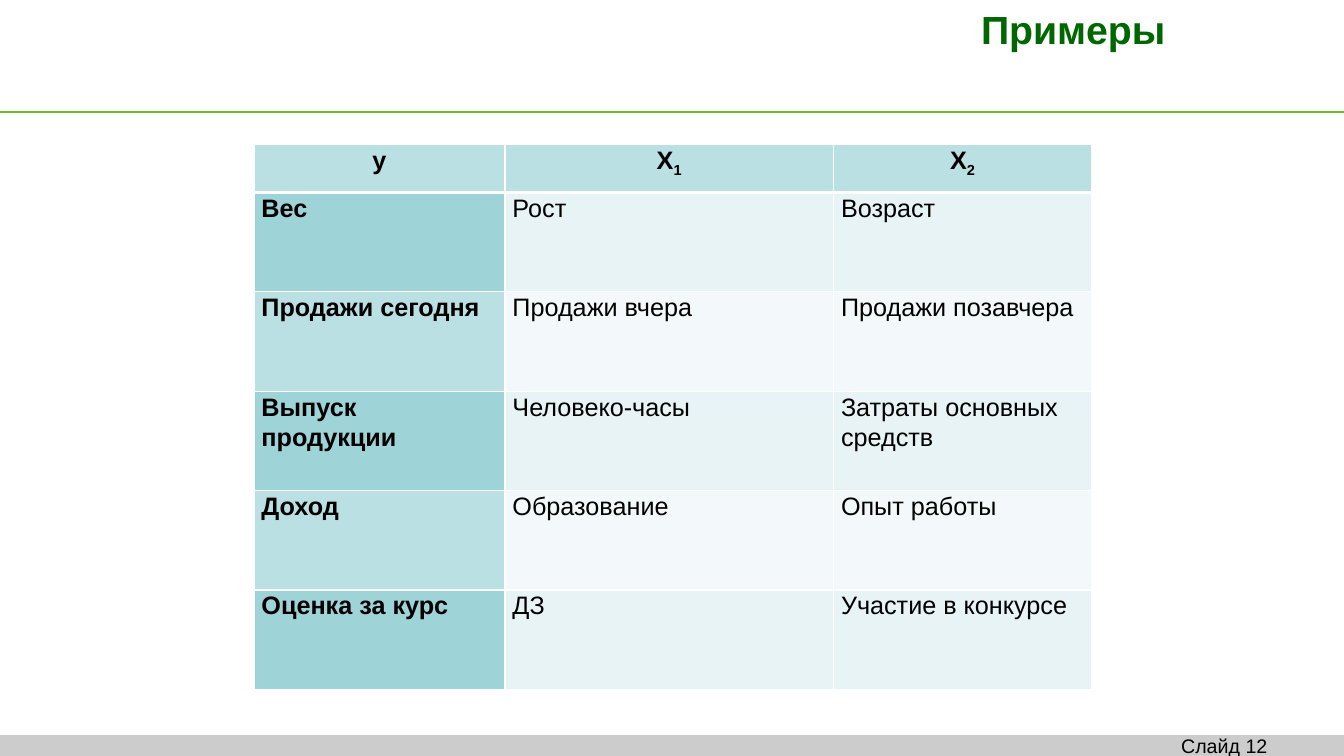
"""Build the slide with a table of example regression variables."""
from typing import NamedTuple

import pptx
import pptx.dml.color
import pptx.enum.shapes
import pptx.enum.text
import pptx.oxml
import pptx.oxml.ns
import pptx.util

Pt = pptx.util.Pt
Align = pptx.enum.text.PP_ALIGN
WIDTH, HEIGHT = 960, 540
WHITE, BLACK = "FFFFFF", "000000"
HEADER_FILL = "BBE0E3"
LABEL_FILLS = ("9ED3D7", "BBE0E3")
VALUE_FILLS = ("E7F3F4", "F3F9FA")
COLUMN_WIDTHS = (179.3, 234.7, 184.3)
HEADER_HEIGHT, ROW_HEIGHT = 34.5, 71


class Heading(NamedTuple):
    symbol: str
    index: str = ""


class Example(NamedTuple):
    y: str
    x1: str
    x2: str


HEADINGS = (Heading("y"), Heading("X", "1"), Heading("X", "2"))
EXAMPLES = (
    Example("Вес", "Рост", "Возраст"),
    Example("Продажи сегодня", "Продажи вчера", "Продажи позавчера"),
    Example("Выпуск продукции", "Человеко-часы", "Затраты основных средств"),
    Example("Доход", "Образование", "Опыт работы"),
    Example("Оценка за курс", "ДЗ", "Участие в конкурсе"),
)


def rgb(value: str) -> pptx.dml.color.RGBColor:
    return pptx.dml.color.RGBColor.from_string(value)


def format_paragraph(p, size: float, color: str, bold: bool, align=Align.LEFT) -> None:
    p.alignment = align
    p.font.name = "Arial"
    p.font.size = Pt(size)
    p.font.bold = bold
    p.font.color.rgb = rgb(color)


def set_borders(cell, top: float = 1, bottom: float = 1) -> None:
    tc_pr = cell._tc.get_or_add_tcPr()
    for side, width in (("L", 1), ("R", 1), ("T", top), ("B", bottom)):
        tc_pr.append(pptx.oxml.parse_xml(
            f'<a:ln{side} {pptx.oxml.ns.nsdecls("a")} w="{Pt(width)}"><a:solidFill>'
            f'<a:srgbClr val="{WHITE}"/></a:solidFill></a:ln{side}>'))


def format_cell(cell, fill: str, bold: bool, align=Align.LEFT) -> None:
    cell.margin_left = cell.margin_right = Pt(5.4)
    cell.margin_top = cell.margin_bottom = 0
    cell.fill.solid()
    cell.fill.fore_color.rgb = rgb(fill)
    p = cell.text_frame.paragraphs[0]
    p.line_spacing = 1.07
    format_paragraph(p, 18, BLACK, bold, align)


def add_footer(s) -> None:
    line = s.shapes.add_connector(
        pptx.enum.shapes.MSO_CONNECTOR.STRAIGHT, 0, Pt(80), Pt(WIDTH), Pt(80))
    line.line.color.rgb = rgb("69BE28")
    line.line.width = Pt(2)
    line._element.spPr.append(pptx.oxml.parse_xml(
        f'<a:effectLst {pptx.oxml.ns.nsdecls("a")}/>'))

    bar = s.shapes.add_shape(
        pptx.enum.shapes.MSO_SHAPE.RECTANGLE, 0, Pt(525), Pt(WIDTH), Pt(15))
    bar.shadow.inherit = False
    bar.fill.solid()
    bar.fill.fore_color.rgb = rgb("CCCCCC")
    bar.line.fill.background()

    sp = s.shapes.add_textbox(Pt(836.6), Pt(520.6), Pt(123.4), Pt(15))
    tf = sp.text_frame
    tf.word_wrap = True
    tf.text = "Слайд 12"
    format_paragraph(tf.paragraphs[0], 14, BLACK, False)


def add_title(s) -> None:
    sp = s.shapes.title
    sp.left, sp.top, sp.width, sp.height = Pt(121), Pt(0), Pt(718.5), Pt(76.3)
    tf = sp.text_frame
    tf.text = "Примеры"
    tf.auto_size = pptx.enum.text.MSO_AUTO_SIZE.NONE
    tf.vertical_anchor = pptx.enum.text.MSO_ANCHOR.TOP
    format_paragraph(tf.paragraphs[0], 28, "006600", True, Align.RIGHT)


def add_examples(s) -> None:
    table = s.shapes.add_table(
        len(EXAMPLES) + 1, len(HEADINGS), Pt(181.4), Pt(103), Pt(sum(COLUMN_WIDTHS)),
        Pt(HEADER_HEIGHT + ROW_HEIGHT * len(EXAMPLES))).table
    table.first_row = table.horz_banding = False
    for column, width in zip(table.columns, COLUMN_WIDTHS):
        column.width = Pt(width)
    for i, row in enumerate(table.rows):
        row.height = Pt(ROW_HEIGHT if i else HEADER_HEIGHT)

    for j, heading in enumerate(HEADINGS):
        cell = table.cell(0, j)
        set_borders(cell, bottom=3)
        p = cell.text_frame.paragraphs[0]
        p.add_run().text = heading.symbol
        if heading.index:
            r = p.add_run()
            r.text = heading.index
            r._r.get_or_add_rPr().set("baseline", "-25000")
        format_cell(cell, HEADER_FILL, True, Align.CENTER)

    for i, example in enumerate(EXAMPLES):
        for j, text in enumerate(example):
            cell = table.cell(i + 1, j)
            set_borders(cell, top=1 if i else 3)
            cell.text = text
            fills = VALUE_FILLS if j else LABEL_FILLS
            format_cell(cell, fills[i % 2], j == 0)


def main() -> None:
    prs = pptx.Presentation()
    prs.slide_width, prs.slide_height = Pt(WIDTH), Pt(HEIGHT)
    s = prs.slides.add_slide(prs.slide_layouts.get_by_name("Title Only"))
    add_footer(s)
    add_title(s)
    add_examples(s)
    prs.save("out.pptx")


if __name__ == "__main__":
    main()
